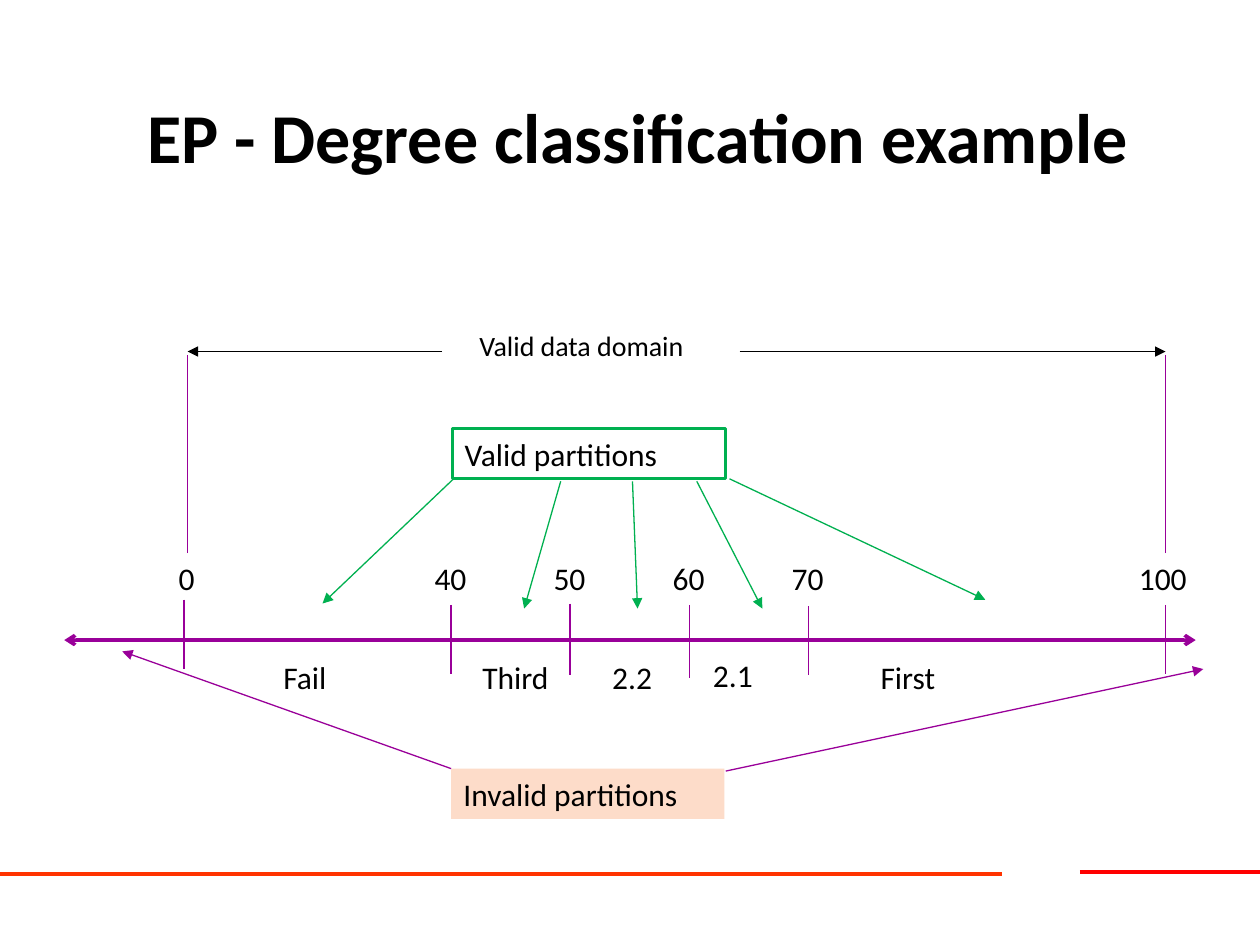
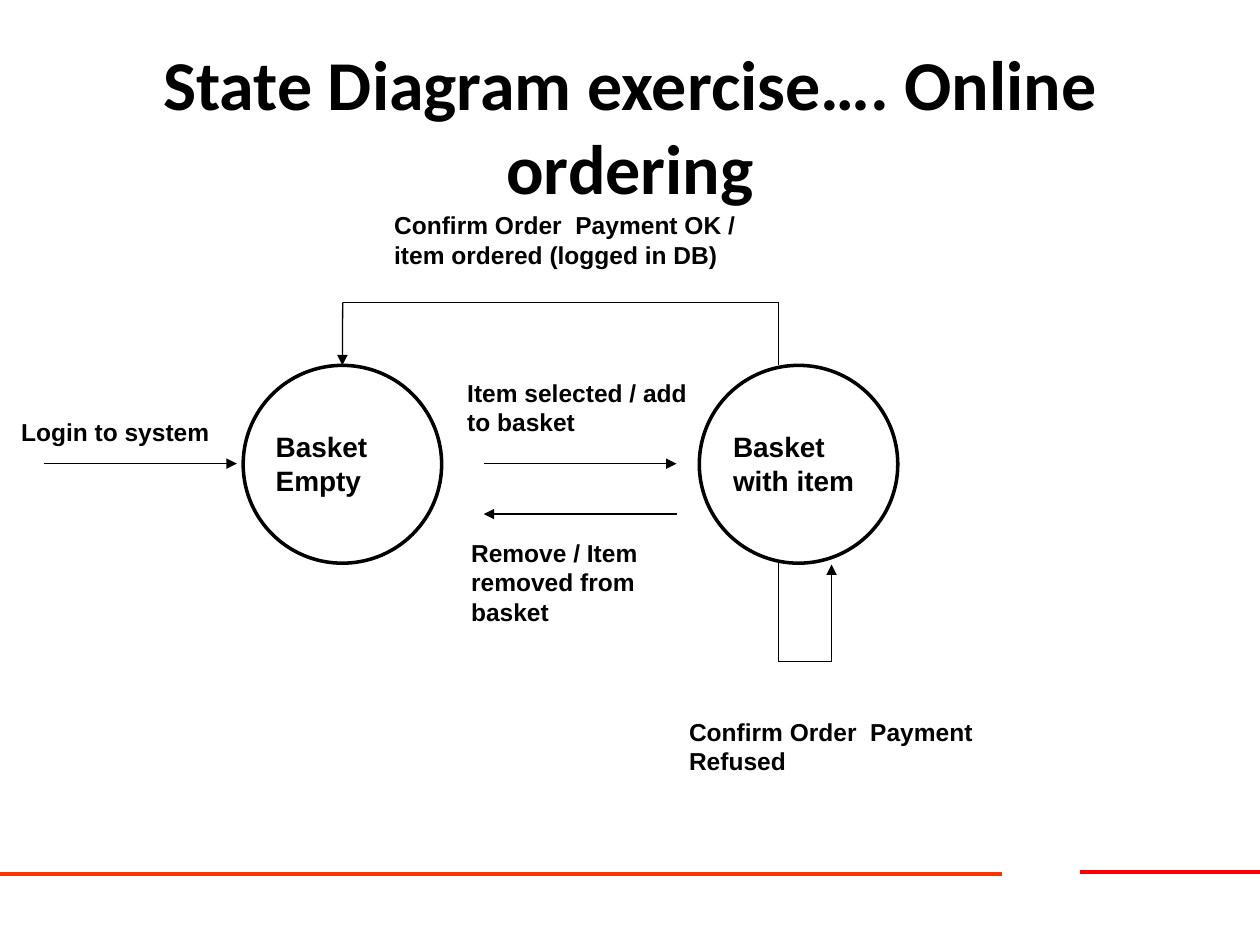
from lxml import etree
from pptx import Presentation
from pptx import util as u
from pptx.dml.color import RGBColor
from pptx.enum import shapes, text
from pptx.oxml import ns

BLACK, WHITE, PURPLE, GREEN = "000000", "FFFFFF", "990099", "00B050"
PEACH, RED, ORANGE = "FDDCC9", "FF0000", "FF3300"
colour = RGBColor.from_string

deck = Presentation()
deck.slide_width, deck.slide_height = u.Inches(10), u.Inches(7.5)
cell = deck.slide_width // 100


def draw_line(slide, start, end, ink=BLACK, weight=0.75, head=None, tail=None):
    ends = [round(n * cell) for n in (*start, *end)]
    line = slide.shapes.add_connector(shapes.MSO_CONNECTOR.STRAIGHT, *ends)
    line.line.color.rgb = colour(ink)
    line.line.width = u.Pt(weight)
    outline = line.line._get_or_add_ln()
    for tag, arrow in (("a:headEnd", head), ("a:tailEnd", tail)):
        if arrow:
            etree.SubElement(outline, ns.qn(tag)).set("type", arrow)
    etree.SubElement(line.element.spPr, ns.qn("a:effectLst"))
    return line


def write(slide, words, box, size=18, font="Calibri", bold=False, centred=False,
          kind=None, fill=None, edge=None):
    place = [round(n * cell) for n in box]
    if kind == "title":
        holder = slide.shapes.title
        holder.left, holder.top, holder.width, holder.height = place
    elif kind:
        holder = slide.shapes.add_shape(kind, *place)
        holder.shadow.inherit = False
        holder.fill.solid()
        holder.fill.fore_color.rgb = colour(fill)
        if edge:
            holder.line.color.rgb = colour(edge)
            holder.line.width = u.Pt(2)
        else:
            holder.line.fill.background()
    else:
        holder = slide.shapes.add_textbox(*place)
    if words:
        frame = holder.text_frame
        frame.word_wrap = True
        frame.auto_size = (text.MSO_AUTO_SIZE.NONE if kind == "title"
                           else text.MSO_AUTO_SIZE.SHAPE_TO_FIT_TEXT)
        frame.vertical_anchor = text.MSO_ANCHOR.MIDDLE if kind == "title" else text.MSO_ANCHOR.TOP
        paragraph = frame.paragraphs[0]
        paragraph.alignment = text.PP_ALIGN.CENTER if centred else text.PP_ALIGN.LEFT
        run = paragraph.add_run()
        run.text = words
        run.font.name, run.font.size, run.font.bold = font, u.Pt(size), bold
        run.font.color.rgb = colour(BLACK)
    return holder


pages = []
for heading, box in (
    ("EP - Degree classification example", (1.2, 4.5, 98.8, 12.5)),
    ("State Diagram exercise…. Online ordering", (7.5, 3.6, 85, 12.5)),
):
    page = deck.slides.add_slide(deck.slide_layouts[5])
    draw_line(page, (85.7, 69.2), (100, 69.2), RED, 2.25)
    draw_line(page, (0, 69.4), (79.5, 69.4), ORANGE, 2.25)
    write(page, heading, box, 40, bold=True, centred=True, kind="title")
    pages.append(page)
degrees, ordering = pages

RECTANGLE = shapes.MSO_SHAPE.RECTANGLE
CIRCLE = shapes.MSO_SHAPE.OVAL

draw_line(degrees, (5.1, 50.8), (94.9, 50.8), PURPLE, 2, "arrow", "arrow")
for mark, tick_top, tick_height, shift, width in (
    (0, 47.6, 5.5, 1.4, 3.2), (40, 48, 5.5, 2.3, 5.5), (50, 47.9, 5.7, 2.3, 5.5),
    (60, 48, 5.8, 2.3, 5.5), (70, 48.1, 5.5, 2.3, 6.2), (100, 48, 5.5, 3.1, 6.2),
):
    x = 35.8 + 0.945 * (mark - 40) if mark else 14.6
    draw_line(degrees, (x, tick_top), (x, tick_top + tick_height), PURPLE)
    write(degrees, str(mark), (x - shift, 43.9, width, 4))

for grade, left, top in (("Fail", 21.5, 51.7), ("Third", 37.3, 51.7), ("2.2", 47.6, 51.7),
                         ("2.1", 55.6, 51.6), ("First", 68.9, 51.7)):
    write(degrees, grade, (left, top, 8.7, 4))

write(degrees, "Valid data domain", (35.3, 25.6, 21.7, 3.7), 16, centred=True,
      kind=RECTANGLE, fill=WHITE)
write(degrees, "Valid partitions", (35.9, 34, 21.7, 4), kind=RECTANGLE, fill=WHITE, edge=GREEN)
write(degrees, "Invalid partitions", (35.8, 61, 21.7, 4), kind=RECTANGLE, fill=PEACH)

for inner, limit in ((35.1, 14.9), (58.7, 92.5)):
    draw_line(degrees, (limit, 43.9), (limit, 28.2), PURPLE)
    draw_line(degrees, (inner, 27.9), (limit, 27.9), tail="triangle")
for start, end in (((36, 38), (25.6, 47.9)), ((57.9, 38), (78.2, 47.6)),
                   ((44.5, 38.2), (41.6, 48.3)), ((50.2, 38.2), (50.6, 48.3)),
                   ((55.3, 38.2), (60.5, 48.3))):
    draw_line(degrees, start, end, GREEN, tail="triangle")
for start, end in (((35.8, 61), (9.7, 51.7)), ((57.6, 61.2), (95.5, 53.1))):
    draw_line(degrees, start, end, PURPLE, tail="triangle")

states = []
for state, left, label_left, label_width in (("Basket Empty", 19.3, 20.9, 15),
                                             ("Basket with item", 55.5, 57.2, 13.4)):
    states.append(write(ordering, "", (left, 29, 15.75, 15.7), kind=CIRCLE,
                        fill=WHITE, edge=BLACK))
    write(ordering, state, (label_left, 33.6, label_width, 6.4), 16, "Arial", True)

for event, box in (
    ("Login to system", (0.7, 32.6, 20.2, 3.4)),
    ("Item selected / add to basket", (36.1, 29.5, 20.2, 5.7)),
    ("Remove / Item removed from basket", (36.4, 42.2, 20.2, 8)),
    ("Confirm Order  Payment OK / item ordered (logged in DB)", (30.3, 16.2, 31.5, 5.7)),
    ("Confirm Order  Payment Refused", (53.7, 56.4, 31.5, 5.7)),
):
    write(ordering, event, box, 14, "Arial", True)

for start, end in (((3.5, 36.8), (18.8, 36.8)), ((38.4, 36.8), (53.7, 36.8)),
                   ((53.7, 40.8), (38.4, 40.8)), ((66, 52.5), (66, 44.8))):
    draw_line(ordering, start, end, tail="triangle")
for start, end in (((27.2, 24), (61.8, 24)), ((61.8, 24), (61.8, 29)),
                   ((61.8, 44.6), (61.8, 52.5)), ((61.8, 52.5), (66, 52.5))):
    draw_line(ordering, start, end)
reset = draw_line(ordering, (27.2, 24), (27.2, 29), tail="triangle")
reset.end_connect(states[0], 0)

deck.save("out.pptx")
